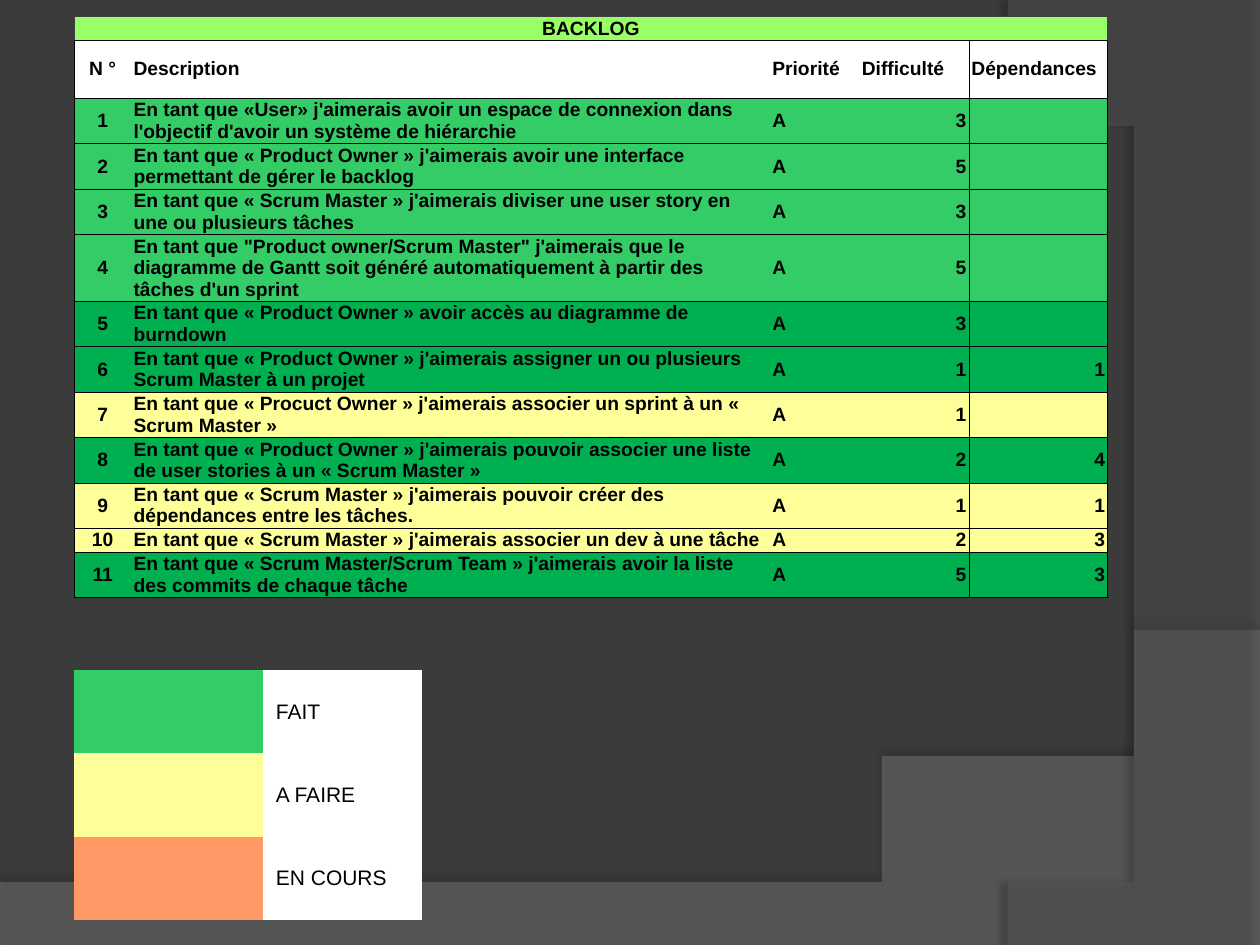
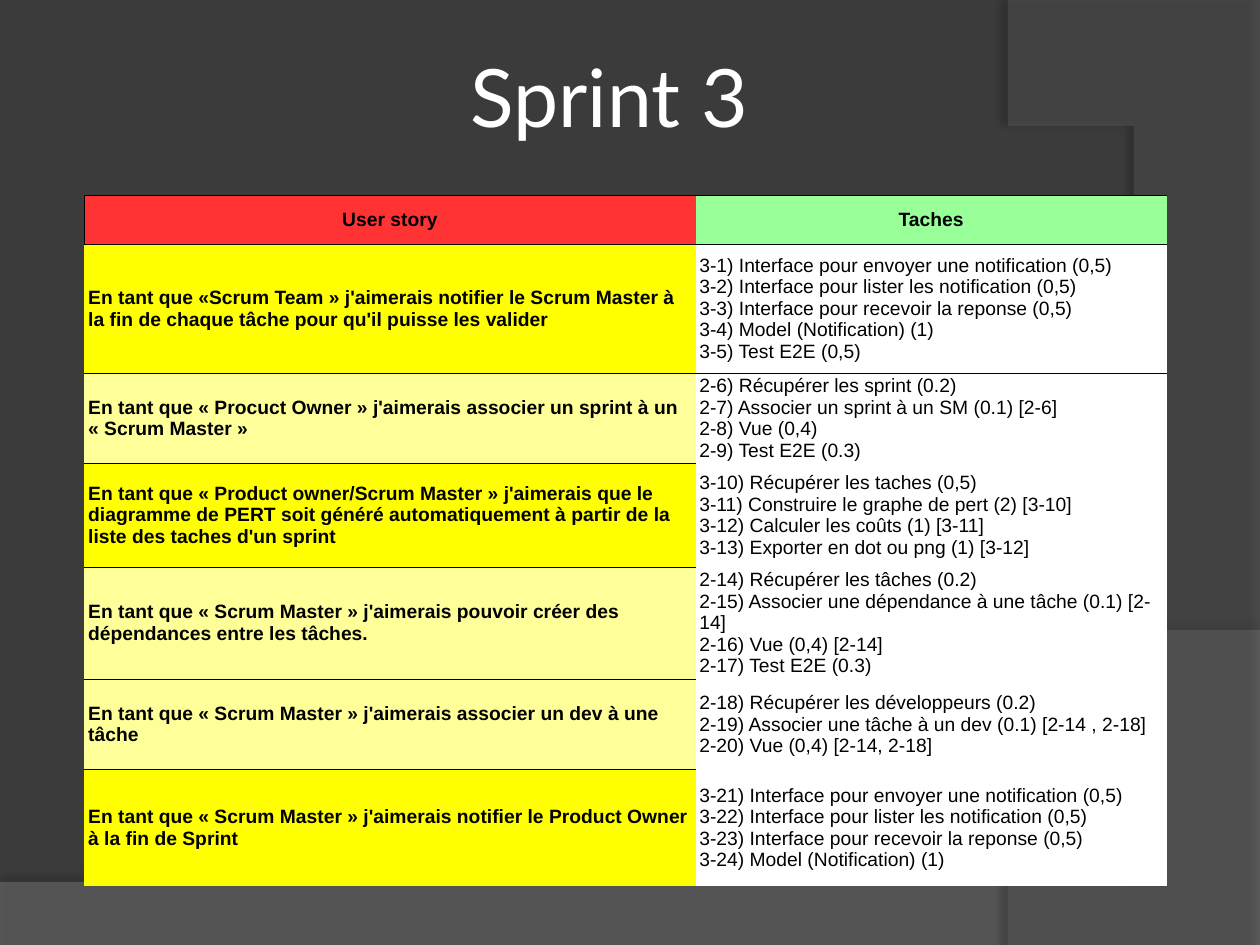
from lxml import etree
from pptx import Presentation
from pptx import util as u
from pptx.dml.color import RGBColor
from pptx.enum import text as t
from pptx.oxml import ns

COLORS = {
    "background": "3B3B3B", "wave": "7F7F7F", "arc": "5E5E5E",
    "black": "000000", "white": "FFFFFF", "soft line": "3F3F3F",
    "backlog": "99FF66", "done": "33CC66", "validated": "00B050",
    "to do": "FFFF99", "in progress": "FF9966",
    "story header": "FF3333", "task header": "99FF99", "new story": "FFFF00",
}
LEFT, CENTER, RIGHT = t.PP_ALIGN.LEFT, t.PP_ALIGN.CENTER, t.PP_ALIGN.RIGHT
PLAIN_TABLE = "{2D5ABB26-0587-4C30-8999-92F81FD0307C}"
LINE_WIDTH = u.Pt(0.38)

BACKLOG_HEADER = ("N °", "Description", "Priorité", "Difficulté", "Dépendances")
BACKLOG = [  # status, row height, description, difficulty, dependency
    ("done", 0.36, "En tant que «User» j'aimerais avoir un espace de connexion dans "
     "l'objectif d'avoir un système de hiérarchie", "3", ""),
    ("done", 0.36, "En tant que « Product Owner » j'aimerais avoir une interface "
     "permettant de gérer le backlog", "5", ""),
    ("done", 0.36, "En tant que « Scrum Master » j'aimerais diviser une user story en "
     "une ou plusieurs tâches", "3", ""),
    ("done", 0.53, "En tant que \"Product owner/Scrum Master\" j'aimerais que le "
     "diagramme de Gantt soit généré automatiquement à partir des tâches d'un sprint",
     "5", ""),
    ("validated", 0.36, "En tant que « Product Owner » avoir accès au diagramme de "
     "burndown", "3", ""),
    ("validated", 0.36, "En tant que « Product Owner » j'aimerais assigner un ou "
     "plusieurs Scrum Master à un projet", "1", "1"),
    ("to do", 0.36, "En tant que « Procuct Owner » j'aimerais associer un sprint à un "
     "« Scrum Master »", "1", ""),
    ("validated", 0.36, "En tant que « Product Owner » j'aimerais pouvoir associer une "
     "liste de user stories à un « Scrum Master »", "2", "4"),
    ("to do", 0.36, "En tant que « Scrum Master » j'aimerais pouvoir créer des "
     "dépendances entre les tâches.", "1", "1"),
    ("to do", 0.19, "En tant que « Scrum Master » j'aimerais associer un dev à une "
     "tâche", "2", "3"),
    ("validated", 0.36, "En tant que « Scrum Master/Scrum Team » j'aimerais avoir la "
     "liste des commits de chaque tâche", "5", "3"),
]
LEGEND = [("done", "FAIT"), ("to do", "A FAIRE"), ("in progress", "EN COURS")]
SPRINT = [  # status, row height, user story, tasks
    ("new story", 1.02, "En tant que «Scrum Team » j'aimerais notifier le Scrum Master à "
     "la fin de chaque tâche pour qu'il puisse les valider",
     ["3-1) Interface pour envoyer une notification (0,5)",
      "3-2) Interface pour lister les notification (0,5)",
      "3-3) Interface pour recevoir la reponse (0,5)",
      "3-4) Model (Notification) (1)",
      "3-5) Test E2E (0,5)"]),
    ("to do", 0.71, "En tant que « Procuct Owner » j'aimerais associer un sprint à un "
     "« Scrum Master »",
     ["2-6) Récupérer les sprint (0.2)",
      "2-7) Associer un sprint à un SM (0.1) [2-6]",
      "2-8) Vue (0,4)",
      "2-9) Test E2E (0.3)"]),
    ("new story", 0.82, "En tant que « Product owner/Scrum Master » j'aimerais que le "
     "diagramme de PERT soit généré automatiquement à partir de la liste des taches "
     "d'un sprint",
     ["3-10) Récupérer les taches (0,5)",
      "3-11) Construire le graphe de pert (2) [3-10]",
      "3-12) Calculer les coûts (1) [3-11]",
      "3-13) Exporter en dot ou png (1) [3-12]"]),
    ("to do", 0.88, "En tant que « Scrum Master » j'aimerais pouvoir créer des "
     "dépendances entre les tâches.",
     ["2-14) Récupérer les tâches (0.2)",
      "2-15) Associer une dépendance à une tâche (0.1) [2-14]",
      "2-16) Vue (0,4) [2-14]",
      "2-17) Test E2E (0.3)"]),
    ("to do", 0.72, "En tant que « Scrum Master » j'aimerais associer un dev à une tâche",
     ["2-18) Récupérer les développeurs (0.2)",
      "2-19) Associer une tâche à un dev (0.1) [2-14 , 2-18]",
      "2-20) Vue (0,4) [2-14, 2-18]"]),
    ("new story", 0.92, "En tant que « Scrum Master » j'aimerais notifier le Product "
     "Owner à la fin de Sprint",
     ["3-21) Interface pour envoyer une notification (0,5)",
      "3-22) Interface pour lister les notification (0,5)",
      "3-23) Interface pour recevoir la reponse (0,5)",
      "3-24) Model (Notification) (1)"]),
]


def rgb(name):
    return RGBColor.from_string(COLORS[name])


def write(frame, content, size=11, font="Arial", color="black", bold=False, align=LEFT):
    """Fill a text frame; each line of the content is a paragraph."""
    frame.text = content
    for para in frame.paragraphs:
        para.alignment = align
        for span in para.runs:
            span.font.size = u.Pt(size)
            span.font.name = font
            span.font.bold = bold
            span.font.color.rgb = rgb(color)


def add_element(parent, tag, **attributes):
    child = etree.SubElement(parent, ns.qn(tag))
    for name, value in attributes.items():
        child.set(name, str(value))
    return child


def add_borders(cell, sides, color):
    """Draw the given sides of a cell, named by the letters L, R, T and B."""
    properties = cell._tc.get_or_add_tcPr()
    for side in "LRTB":
        if side in sides:
            line = add_element(properties, f"a:ln{side}", w=int(LINE_WIDTH))
            add_element(add_element(line, "a:solidFill"), "a:srgbClr", val=COLORS[color])


def fill_cell(cell, content, fill, sides="", line="black", insets=None, **style):
    add_borders(cell, sides, line)
    cell.fill.solid()
    cell.fill.fore_color.rgb = rgb(fill)
    cell.vertical_anchor = t.MSO_ANCHOR.MIDDLE
    if insets:
        cell.margin_left = cell.margin_right = u.Inches(insets[0])
        cell.margin_top = cell.margin_bottom = u.Inches(insets[1])
    if content:
        write(cell.text_frame, content, **style)


def add_plain_table(page, left, top, widths, heights):
    frame = page.shapes.add_table(len(heights), len(widths), u.Inches(left), u.Inches(top),
                                  u.Inches(sum(widths)), u.Inches(sum(heights)))
    table = frame.table
    table.first_row = table.horz_banding = False
    table._tbl.tblPr.find(ns.qn("a:tableStyleId")).text = PLAIN_TABLE
    for column, width in zip(table.columns, widths):
        column.width = u.Inches(width)
    for row, height in zip(table.rows, heights):
        row.height = u.Inches(height)
    return table


def curve(start, control_1, control_2, end, steps=40):
    """Points of a cubic Bezier curve, without its start."""
    points = []
    for step in range(1, steps + 1):
        k = step / steps
        weights = ((1 - k) ** 3, 3 * k * (1 - k) ** 2, 3 * k * k * (1 - k), k ** 3)
        points.append(tuple(
            sum(w * p[axis] for w, p in zip(weights, (start, control_1, control_2, end)))
            for axis in (0, 1)))
    return points


def add_swoosh(page, points, color, opacity, shadow_opacity, distance, direction):
    builder = page.shapes.build_freeform(*points[0], scale=float(u.Inches(1)))
    builder.add_line_segments(points[1:], close=True)
    swoosh = builder.convert_to_shape()
    swoosh.line.fill.background()
    swoosh.fill.solid()
    swoosh.fill.fore_color.rgb = rgb(color)
    tint = swoosh._element.spPr.find(".//" + ns.qn("a:solidFill"))[0]
    add_element(tint, "a:alpha", val=opacity * 1000)
    effects = add_element(swoosh._element.spPr, "a:effectLst")
    shadow = add_element(effects, "a:outerShdw", blurRad=int(u.Pt(4)),
                         dist=int(u.Pt(distance)), dir=direction * 60000)
    shade = add_element(shadow, "a:srgbClr", val=COLORS["black"])
    add_element(shade, "a:alpha", val=shadow_opacity * 1000)
    return swoosh


def decorate_master(deck, page):
    """Set the shared background; the outlines built on a page move to the master."""
    master = deck.slide_master
    master.background.fill.solid()
    master.background.fill.fore_color.rgb = rgb("background")
    wave = [(0, 7.05), (0, 7.5), (10, 7.5), (10, 5.2)]
    wave += curve(wave[-1], (5.59, 7.29), (3.91, 7.19), wave[0])
    arc = [(10, 0.02), (10, 7.5), (8.21, 7.5)]
    arc += curve(arc[-1], (9.35, 6.19), (10.18, 3), (8, 0))
    swooshes = [add_swoosh(page, wave, "wave", 45, 35, 3.5, 270),
                add_swoosh(page, arc, "arc", 40, 45, 4, 180)]
    for position, swoosh in enumerate(swooshes, start=2):
        master.shapes._spTree.insert(position, swoosh._element)


def add_backlog(page, left, top):
    heights = [0.19, 0.46] + [height for _, height, *_ in BACKLOG]
    table = add_plain_table(page, left, top, (0.45, 5.07, 0.71, 0.87, 1.1), heights)
    style = {"insets": (0.02, 0.01), "bold": True}
    column_sides = ("LTB", "TB", "TB", "TRB", "LTRB")
    table.cell(0, 0).merge(table.cell(0, 4))
    fill_cell(table.cell(0, 0), "BACKLOG", "backlog", "LTRB", "soft line",
              align=CENTER, **style)

    rows = [("white", BACKLOG_HEADER, (CENTER, LEFT, LEFT, LEFT, LEFT))]
    for number, (status, _, story, difficulty, dependency) in enumerate(BACKLOG, start=1):
        rows.append((status, (str(number), story, "A", difficulty, dependency),
                     (CENTER, LEFT, LEFT, RIGHT, RIGHT)))
    for row, (fill, values, aligns) in enumerate(rows, start=1):
        for column, (value, align, sides) in enumerate(zip(values, aligns, column_sides)):
            fill_cell(table.cell(row, column), value, fill, sides, align=align, **style)


def add_legend(page, left, top):
    table = add_plain_table(page, left, top, (1.5, 1.26), [0.66] * len(LEGEND))
    for row, (status, label) in enumerate(LEGEND):
        fill_cell(table.cell(row, 0), "", status)
        fill_cell(table.cell(row, 1), label, "white", size=12)


def add_sprint(page, left, top):
    heights = [0.39] + [height for _, height, *_ in SPRINT]
    table = add_plain_table(page, left, top, (4.85, 3.74), heights)
    insets = (0.03, 0.02)
    headers = [("User story", "story header", "LTB"), ("Taches", "task header", "TB")]
    for column, (label, fill, sides) in enumerate(headers):
        fill_cell(table.cell(0, column), label, fill, sides, insets=insets,
                  bold=True, align=CENTER)
    for row, (status, _, story, tasks) in enumerate(SPRINT, start=1):
        story_sides = "T" if row == len(SPRINT) else "TB"
        fill_cell(table.cell(row, 0), story, status, story_sides, insets=insets, bold=True)
        fill_cell(table.cell(row, 1), "\n".join(tasks), "white", "T" if row == 1 else "",
                  insets=insets)


def set_title(page, content, left, top, width, height):
    title = page.shapes.title
    title.left, title.top = u.Inches(left), u.Inches(top)
    title.width, title.height = u.Inches(width), u.Inches(height)
    title.text_frame.vertical_anchor = t.MSO_ANCHOR.MIDDLE
    write(title.text_frame, content, size=46, font="Lato", color="white", align=CENTER)


def main():
    deck = Presentation()
    deck.slide_width, deck.slide_height = u.Inches(10), u.Inches(7.5)
    title_only, blank = deck.slide_layouts[5], deck.slide_layouts[6]

    backlog_page = deck.slides.add_slide(blank)
    decorate_master(deck, backlog_page)
    add_backlog(backlog_page, 0.59, 0.13)
    add_legend(backlog_page, 0.59, 5.32)

    sprint_page = deck.slides.add_slide(title_only)
    set_title(sprint_page, "Sprint 3", 0.75, 0.13, 8.17, 1.25)
    add_sprint(sprint_page, 0.67, 1.55)
    deck.save("out.pptx")


if __name__ == "__main__":
    main()
